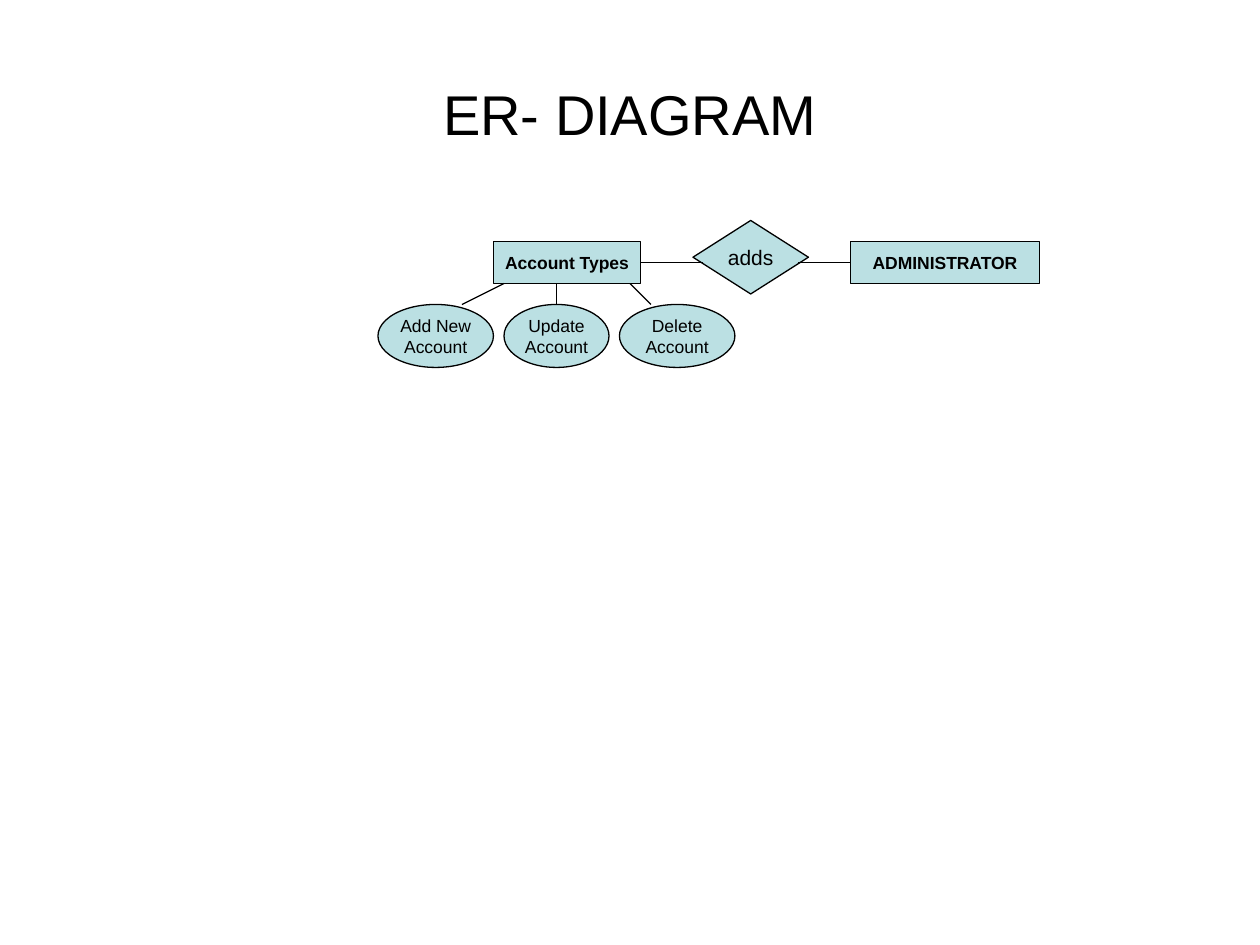
from lxml.etree import SubElement
from pptx import Presentation
from pptx.dml.color import RGBColor
from pptx.enum.shapes import MSO_CONNECTOR, MSO_SHAPE
from pptx.enum.text import MSO_ANCHOR, MSO_AUTO_SIZE, PP_ALIGN
from pptx.oxml.ns import qn
from pptx.util import Inches, Pt

BLACK = RGBColor(0x00, 0x00, 0x00)
PALE_TEAL = RGBColor(0xBB, 0xE0, 0xE3)
FONT = "Arial"

presentation = Presentation()
presentation.slide_width = Inches(10)
presentation.slide_height = Inches(7.5)

# Grid of 120 columns by 90 rows
COLUMN = presentation.slide_width / 120
ROW = presentation.slide_height / 90


def grid(horizontal, vertical):
    return round(horizontal * COLUMN), round(vertical * ROW)


def write(text_frame, lines, size, bold=False):
    for index, line in enumerate(lines):
        paragraph = text_frame.paragraphs[0] if index == 0 else text_frame.add_paragraph()
        paragraph.alignment = PP_ALIGN.CENTER
        run = paragraph.add_run()
        run.text = line
        run.font.name = FONT
        run.font.size = Pt(size)
        run.font.bold = bold
        run.font.color.rgb = BLACK


# Heading in the subtitle placeholder
slide = presentation.slides.add_slide(presentation.slide_layouts[0])
title, heading = slide.placeholders
title.element.getparent().remove(title.element)
heading.left, heading.top = grid(10, 7)
heading.width, heading.height = grid(100, 80)
heading.text_frame.auto_size = MSO_AUTO_SIZE.NONE
heading.text_frame.vertical_anchor = MSO_ANCHOR.TOP
write(heading.text_frame, ["ER- DIAGRAM"], 32)
heading.text_frame.paragraphs[0].space_before = Pt(8)

# Entities and relationship: kind, column, row, columns, rows, lines, size, bold
nodes = [
    (MSO_SHAPE.RECTANGLE, 81, 23, 18, 4, ["ADMINISTRATOR"], 10, True),
    (MSO_SHAPE.FLOWCHART_DECISION, 66, 21, 11, 7, ["adds"], 12, False),
    (MSO_SHAPE.RECTANGLE, 47, 23, 14, 4, ["Account Types"], 10, True),
]

# Attributes in a row, one column apart
column = 36
for action, columns in (("Add New", 11), ("Update", 10), ("Delete", 11)):
    nodes.append((MSO_SHAPE.OVAL, column, 29, columns, 6, [action, "Account"], 10, False))
    column += columns + 1

for kind, column, row, columns, rows, lines, size, bold in nodes:
    shape = slide.shapes.add_shape(kind, *grid(column, row), *grid(columns, rows))
    shape.shadow.inherit = False
    shape.fill.solid()
    shape.fill.fore_color.rgb = PALE_TEAL
    shape.line.color.rgb = BLACK
    shape.line.width = Pt(0.75)
    shape.text_frame.word_wrap = False
    shape.text_frame.vertical_anchor = MSO_ANCHOR.MIDDLE
    write(shape.text_frame, lines, size, bold)

# Links: relationship to entities, then entity to attributes
links = [
    ((76, 25), (81, 25)),
    ((67, 25), (61, 25)),
    ((48, 27), (44, 29)),
    ((53, 27), (53, 29)),
    ((60, 27), (62, 29)),
]
for start, end in links:
    connector = slide.shapes.add_connector(MSO_CONNECTOR.STRAIGHT, *grid(*start), *grid(*end))
    connector.line.color.rgb = BLACK
    connector.line.width = Pt(0.75)
    SubElement(connector.element.spPr, qn("a:effectLst"))

presentation.save("out.pptx")
